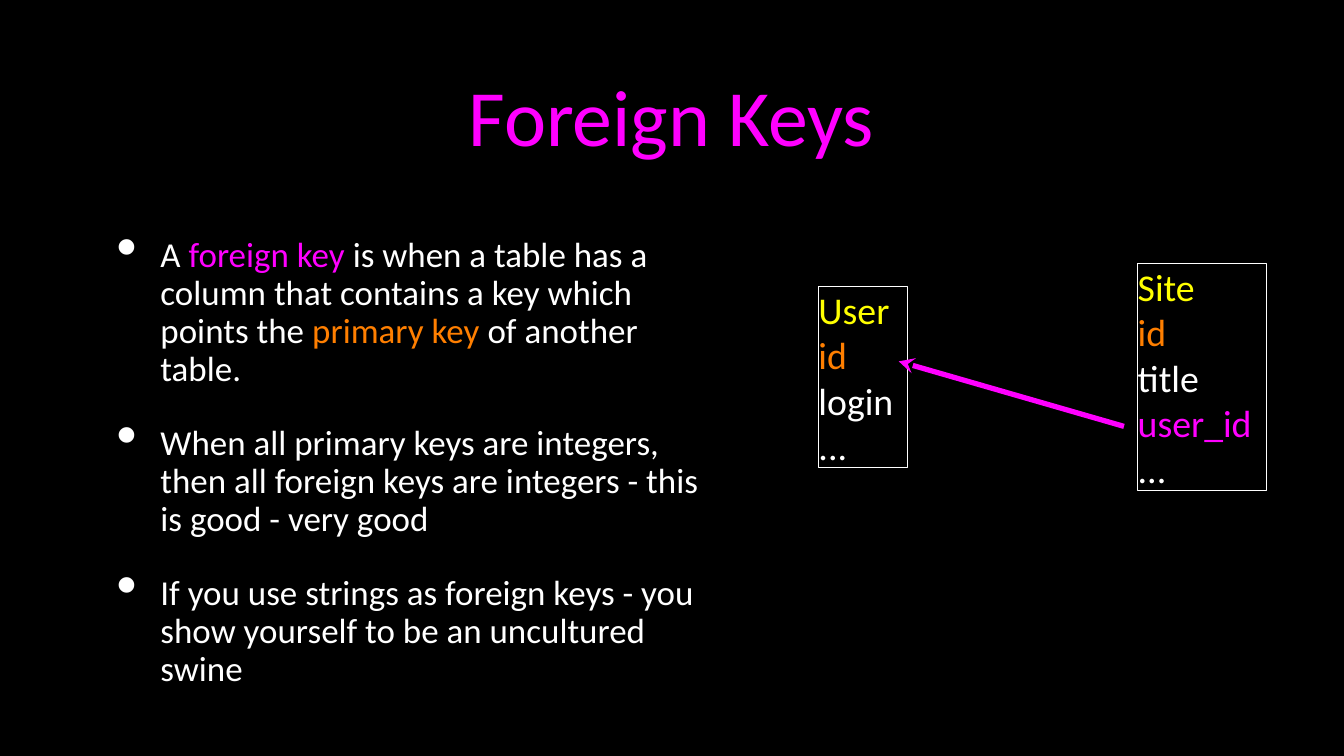
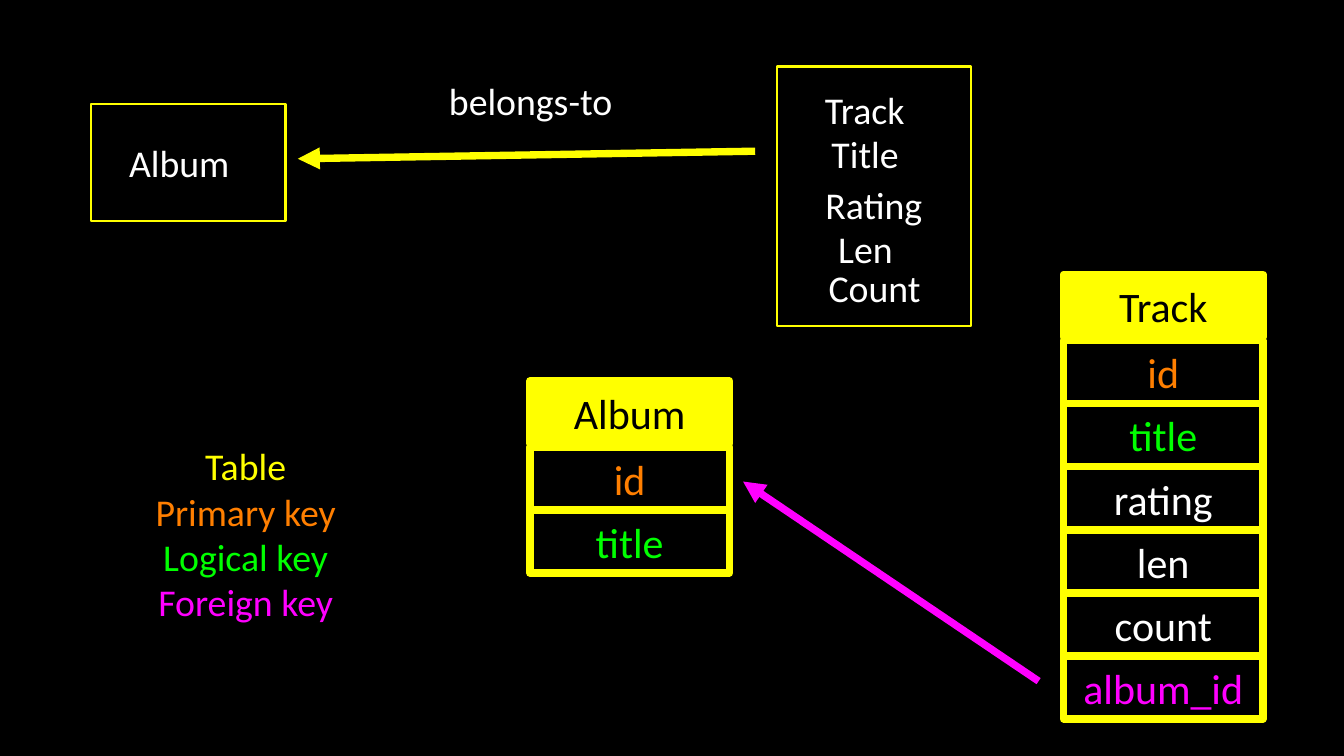
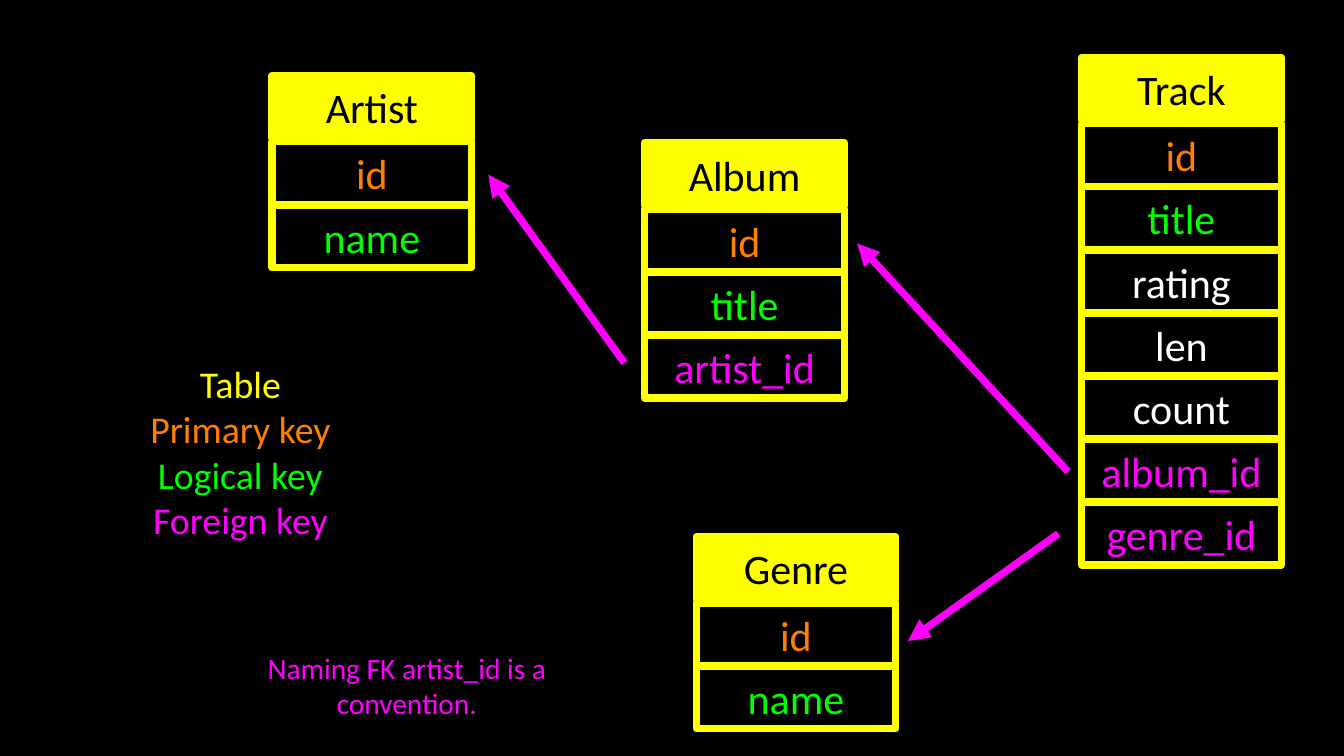
from lxml import etree
from pptx import Presentation
from pptx import util as u
from pptx.dml.color import RGBColor
from pptx.enum import shapes, text
from pptx.oxml.ns import qn

BLACK, WHITE, YELLOW = "000000", "FFFFFF", "FFFF00"
PINK, ORANGE, GREEN = "FF00FF", "FF7F00", "00FF00"
LEFT, CENTER = text.PP_ALIGN.LEFT, text.PP_ALIGN.CENTER


def color(value):
    return RGBColor.from_string(value)


class Sketch:
    """Style and current slide; positions are percent of width and height."""
    font = "Calibri"
    row_width, row_height, first_row, row_step = 14.85, 8.3, 8.75, 8.35

    def __init__(self):
        self.deck = Presentation()
        self.deck.slide_width, self.deck.slide_height = u.Inches(17.78), u.Inches(10)
        self.slide = None

    def new_slide(self):
        self.slide = self.deck.slides.add_slide(self.deck.slide_layouts[6])
        fill = self.slide.background.fill
        fill.solid()
        fill.fore_color.rgb = color(BLACK)

    def place(self, x, y):
        return round(self.deck.slide_width * x / 100), round(self.deck.slide_height * y / 100)

    def fill_text(self, box, paras, size, align=CENTER, wrap=True, inset=0):
        """Each paragraph is a list of (words, color) runs."""
        frame = box.text_frame
        frame.word_wrap = wrap
        frame.auto_size = text.MSO_AUTO_SIZE.NONE if wrap else text.MSO_AUTO_SIZE.SHAPE_TO_FIT_TEXT
        frame.vertical_anchor = text.MSO_ANCHOR.MIDDLE
        frame.margin_left = frame.margin_right = u.Inches(inset)
        frame.margin_top = frame.margin_bottom = u.Inches(inset)
        for i, runs in enumerate(paras):
            para = frame.add_paragraph() if i else frame.paragraphs[0]
            para.alignment = align
            for words, ink in runs:
                span = para.add_run()
                span.text = words
                span.font.name, span.font.size = self.font, u.Pt(size)
                span.font.color.rgb = color(ink)
        return frame

    def text(self, x, y, w, h, paras, size=36, **style):
        box = self.slide.shapes.add_textbox(*self.place(x, y), *self.place(w, h))
        return self.fill_text(box, paras, size, **style)

    def label(self, x, y, w, words):
        self.text(x, y, w, 6, [[(words, WHITE)]], wrap=False)

    def bullets(self, x, y, w, h, paras, size):
        frame = self.text(x, y, w, h, paras, size, align=LEFT, inset=0.04)
        for para in frame.paragraphs:
            para.line_spacing, para.space_before = 0.9, u.Pt(35)
            props = para._p.get_or_add_pPr()
            props.set("marL", str(u.Inches(0.82)))
            props.set("indent", str(u.Inches(-0.58)))
            tint = etree.SubElement(props, qn("a:buClr"))
            etree.SubElement(tint, qn("a:srgbClr"), val=WHITE)
            etree.SubElement(props, qn("a:buSzPct"), val="171000")
            etree.SubElement(props, qn("a:buChar"), char="•")

    def rect(self, x, y, w, h, line=YELLOW, weight=2, fill=None):
        box = self.slide.shapes.add_shape(
            shapes.MSO_SHAPE.RECTANGLE, *self.place(x, y), *self.place(w, h))
        box.shadow.inherit = False
        if fill:
            box.fill.solid()
            box.fill.fore_color.rgb = color(fill)
        else:
            box.fill.background()
        box.line.color.rgb, box.line.width = color(line), u.Pt(weight)
        return box

    def listing(self, x, y, w, h, fields):
        box = self.rect(x, y, w, h, WHITE, 1)
        self.fill_text(box, [[field] for field in fields], 36, LEFT, wrap=False)

    def table_model(self, x, y, name, fields):
        """A yellow heading with one outlined row for each field."""
        for i, (words, ink) in enumerate([(name, BLACK)] + fields):
            top = y + (self.first_row + (i - 1) * self.row_step if i else 0)
            box = self.rect(x, top, self.row_width, self.row_height, YELLOW, 7,
                            None if i else YELLOW)
            self.fill_text(box, [[(words, ink)]], 40)

    def arrow(self, tip, end, ink=PINK, weight=7, head="triangle"):
        line = self.slide.shapes.add_connector(
            shapes.MSO_CONNECTOR.STRAIGHT, *self.place(*tip), *self.place(*end))
        line.line.color.rgb, line.line.width = color(ink), u.Pt(weight)
        props = line._element.spPr
        etree.SubElement(props.find(qn("a:ln")), qn("a:headEnd"), type=head)
        etree.SubElement(props, qn("a:effectLst"))

    def legend(self, x, y):
        entries = [("Table", YELLOW), ("Primary key", ORANGE),
                   ("Logical key", GREEN), ("Foreign key", PINK)]
        self.text(x, y, 15.64, 24, [[entry] for entry in entries], wrap=False)


sketch = Sketch()
ID, TITLE, NAME = ("id", ORANGE), ("title", GREEN), ("name", GREEN)
TRACK = [ID, TITLE, ("rating", WHITE), ("len", WHITE), ("count", WHITE), ("album_id", PINK)]

# Foreign keys: definition and a two-table example
sketch.new_slide()
sketch.text(7.1, 2.6, 85.7, 25.1, [[("Foreign Keys", PINK)]], 76, inset=0.04)
sketch.bullets(7.1, 26.8, 46.95, 69, [
    [("A", WHITE), (" foreign key", PINK),
     (" is when a table has a column that contains a key which points the ", WHITE),
     ("primary key", ORANGE), (" of another table.", WHITE)],
    [("When all primary keys are integers, then all foreign keys are integers"
      " - this is good - very good", WHITE)],
    [("If you use strings as foreign keys - you show yourself to be an uncultured swine", WHITE)],
], 33.3)
sketch.listing(60.9, 37.9, 6.65, 24, [
    ("User", YELLOW), ID, ("login", WHITE), ("...", WHITE)])
sketch.listing(84.65, 34.9, 9.55, 30, [
    ("Site", YELLOW), ID, ("title", WHITE), ("user_id", PINK), ("...", WHITE)])
sketch.arrow((66.87, 47.8), (83.63, 56.4), weight=5, head="stealth")

# From the logical model to tables
sketch.new_slide()
sketch.label(8.95, 18.5, 8.77, "Album")
sketch.rect(6.8, 13.8, 14.45, 15.4)
sketch.arrow((22.16, 21), (56.19, 20), YELLOW)
sketch.label(32.4, 10.3, 14.17, "belongs-to")
sketch.table_model(39.43, 50.4, "Album", [ID, TITLE])
sketch.table_model(79.13, 36.3, "Track", TRACK)
sketch.arrow((55.29, 63.7), (77.28, 90.1))
sketch.legend(10.46, 58.6)
for x, y, w, words in [(60.69, 11.5, 7.31, "Track"), (61.47, 17.3, 5.79, "Title"),
                       (60.74, 24, 8.55, "Rating"), (61.92, 29.8, 4.95, "Len"),
                       (61.08, 35, 7.99, "Count")]:
    sketch.label(x, y, w, words)
sketch.rect(57.82, 8.8, 14.45, 34.3)

# The complete set of tables
sketch.new_slide()
sketch.table_model(47.98, 18.9, "Album", [ID, TITLE, ("artist_id", PINK)])
sketch.table_model(80.48, 7.6, "Track", TRACK + [("genre_id", PINK)])
sketch.table_model(20.25, 10, "Artist", [ID, NAME])
sketch.table_model(51.8, 71, "Genre", [ID, NAME])
sketch.arrow((63.78, 32.2), (79.47, 62.4))
sketch.arrow((67.55, 84.8), (78.74, 70.6))
sketch.arrow((36.33, 23.1), (46.46, 48))
sketch.legend(10.07, 47.7)
sketch.text(16.54, 85.6, 27.45, 10, [[("Naming FK artist_id is a convention.", PINK)]], 28)

sketch.deck.save("out.pptx")
